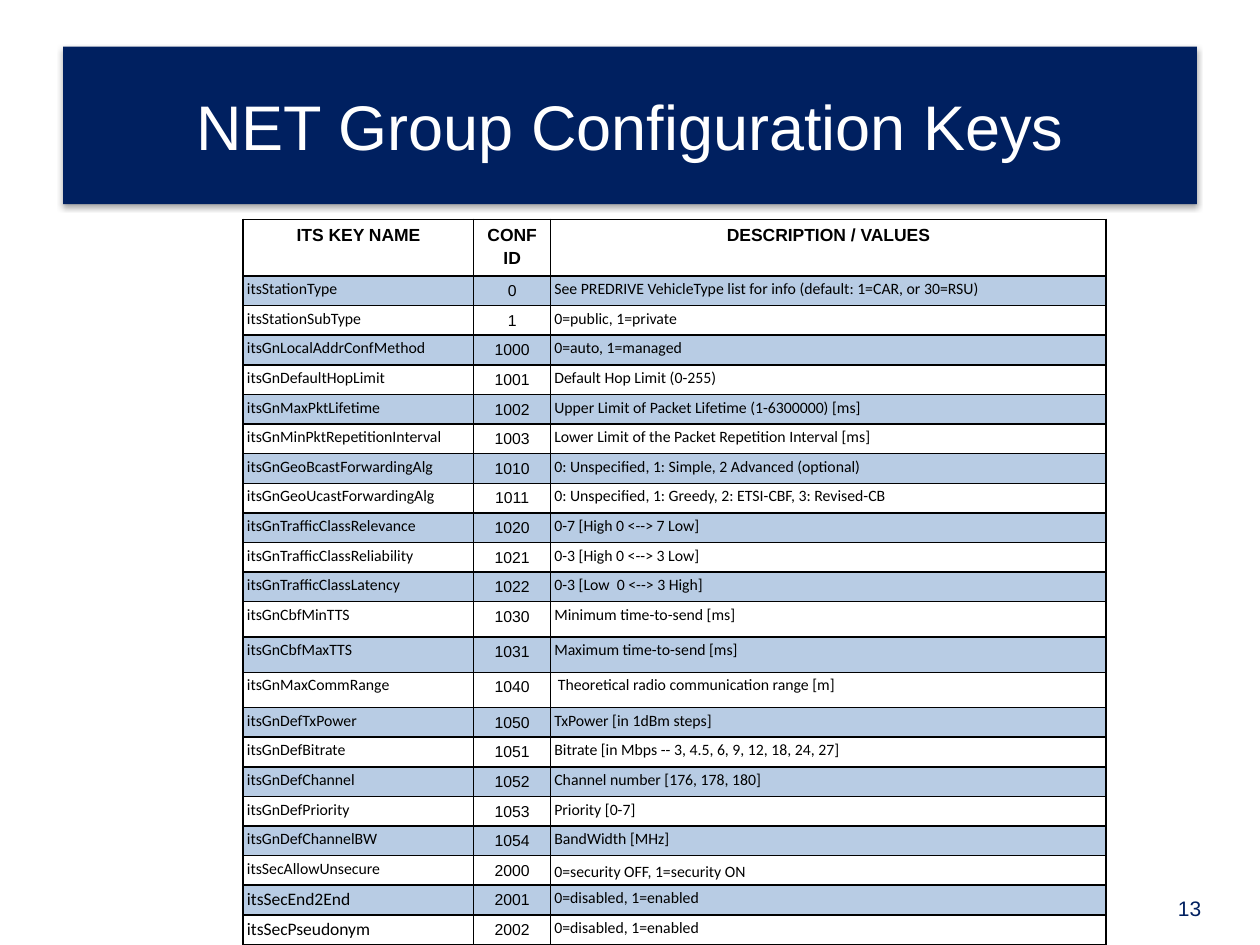
from dataclasses import dataclass

import pptx
import pptx.dml.color
import pptx.enum.text
import pptx.oxml
import pptx.oxml.ns
import pptx.util

Inches = pptx.util.Inches
Pt = pptx.util.Pt
ALIGN = pptx.enum.text.PP_ALIGN
ANCHOR = pptx.enum.text.MSO_ANCHOR
NS = pptx.oxml.ns.nsdecls("a")

HEADINGS = ("ITS KEY NAME", "CONF ID", "DESCRIPTION / VALUES")
KEYS = (
    ("itsStationType", "0", "See PREDRIVE VehicleType list for info (default: 1=CAR, or 30=RSU)"),
    ("itsStationSubType", "1", "0=public, 1=private"),
    ("itsGnLocalAddrConfMethod", "1000", "0=auto, 1=managed"),
    ("itsGnDefaultHopLimit", "1001", "Default Hop Limit (0-255)"),
    ("itsGnMaxPktLifetime", "1002", "Upper Limit of Packet Lifetime (1-6300000) [ms]"),
    ("itsGnMinPktRepetitionInterval", "1003", "Lower Limit of the Packet Repetition Interval [ms]"),
    ("itsGnGeoBcastForwardingAlg", "1010", "0: Unspecified, 1: Simple, 2 Advanced (optional)"),
    ("itsGnGeoUcastForwardingAlg", "1011", "0: Unspecified, 1: Greedy, 2: ETSI-CBF, 3: Revised-CB"),
    ("itsGnTrafficClassRelevance", "1020", "0-7 [High 0 <--> 7 Low]"),
    ("itsGnTrafficClassReliability", "1021", "0-3 [High 0 <--> 3 Low]"),
    ("itsGnTrafficClassLatency", "1022", "0-3 [Low  0 <--> 3 High]"),
    ("itsGnCbfMinTTS", "1030", "Minimum time-to-send [ms]"),
    ("itsGnCbfMaxTTS", "1031", "Maximum time-to-send [ms]"),
    ("itsGnMaxCommRange", "1040", " Theoretical radio communication range [m]"),
    ("itsGnDefTxPower", "1050", "TxPower [in 1dBm steps]"),
    ("itsGnDefBitrate", "1051", "Bitrate [in Mbps -- 3, 4.5, 6, 9, 12, 18, 24, 27]"),
    ("itsGnDefChannel", "1052", "Channel number [176, 178, 180]"),
    ("itsGnDefPriority", "1053", "Priority [0-7]"),
    ("itsGnDefChannelBW", "1054", "BandWidth [MHz]"),
    ("itsSecAllowUnsecure", "2000", "0=security OFF, 1=security ON"),
    ("itsSecEnd2End", "2001", "0=disabled, 1=enabled"),
    ("itsSecPseudonym", "2002", "0=disabled, 1=enabled"),
)
TALL_KEYS = ("itsGnCbfMinTTS", "itsGnCbfMaxTTS", "itsGnMaxCommRange")
LARGE_KEYS = ("itsSecEnd2End", "itsSecPseudonym")
SPACED_TEXT = "0=security OFF, 1=security ON"


@dataclass(frozen=True)
class Theme:
    navy: str = "002060"
    white: str = "FFFFFF"
    black: str = "000000"
    band: str = "B8CCE4"
    heading_font: str = "Arial"
    body_font: str = "Calibri"
    title_size: float = 36
    number_size: float = 12
    large_size: float = 10
    body_size: float = 9
    spacing: float = 1.15


class SlideBuilder:
    """Hold the theme and the current slide, and add its elements."""

    def __init__(self, prs, theme):
        self.theme = theme
        self.s = prs.slides.add_slide(prs.slide_layouts[5])

    def color(self, value):
        return pptx.dml.color.RGBColor.from_string(value)

    def format(self, p, font, size, color, align=ALIGN.LEFT, bold=False):
        p.alignment = align
        p.font.name = font
        p.font.size = Pt(size)
        p.font.bold = bold
        p.font.color.rgb = self.color(color)

    def title(self, text, left, top, width, height):
        t = self.theme
        sp = self.s.shapes.title
        sp.left, sp.top, sp.width, sp.height = map(Inches, (left, top, width, height))
        sp.fill.solid()
        sp.fill.fore_color.rgb = self.color(t.navy)
        sp._element.spPr.append(pptx.oxml.parse_xml(
            f'<a:effectLst {NS}><a:outerShdw blurRad="{Pt(3.1)}" dist="{Pt(1.8)}" '
            f'dir="5400000" rotWithShape="0"><a:srgbClr val="{t.black}">'
            '<a:alpha val="35000"/></a:srgbClr></a:outerShdw></a:effectLst>'))
        tf = sp.text_frame
        tf.text = text
        tf.vertical_anchor = ANCHOR.MIDDLE
        self.format(tf.paragraphs[0], t.heading_font, t.title_size, t.white, ALIGN.CENTER)

    def number(self, text, left, top, width, height):
        t = self.theme
        sp = self.s.shapes.add_textbox(*map(Inches, (left, top, width, height)))
        tf = sp.text_frame
        tf.word_wrap = True
        tf.text = text
        self.format(tf.paragraphs[0], t.heading_font, t.number_size, t.navy)

    def cell(self, cell, text, fill):
        cell.text = text
        cell.margin_left = cell.margin_right = Inches(0.03)
        cell.margin_top = cell.margin_bottom = Inches(0.03)
        cell.vertical_anchor = ANCHOR.TOP
        tcPr = cell._tc.get_or_add_tcPr()
        for side in "LRTB":
            tcPr.append(pptx.oxml.parse_xml(
                f'<a:ln{side} {NS} w="{Pt(1)}"><a:solidFill>'
                f'<a:srgbClr val="{self.theme.black}"/></a:solidFill></a:ln{side}>'))
        if fill:
            cell.fill.solid()
            cell.fill.fore_color.rgb = self.color(fill)
        else:
            cell.fill.background()
        return cell.text_frame.paragraphs[0]

    def table(self, headings, rows, left, top, widths, heights):
        t = self.theme
        frame = self.s.shapes.add_table(
            len(rows) + 1, len(headings), Inches(left), Inches(top),
            Inches(sum(widths)), Inches(sum(heights)))
        table = frame.table
        table.first_row = table.horz_banding = False
        for column, width in zip(table.columns, widths):
            column.width = Inches(width)
        for row, height in zip(table.rows, heights):
            row.height = Inches(height)
        for c, text in enumerate(headings):
            p = self.cell(table.cell(0, c), text, None)
            self.format(p, t.heading_font, t.large_size, t.black, ALIGN.CENTER, True)
            p.line_spacing = t.spacing
        for r, row in enumerate(rows, 1):
            for c, text in enumerate(row):
                p = self.cell(table.cell(r, c), text, t.band if r % 2 else None)
                is_id = c == 1
                self.format(p, t.heading_font if is_id else t.body_font,
                            t.large_size if text in LARGE_KEYS else t.body_size,
                            t.black, ALIGN.CENTER if is_id else ALIGN.LEFT)
                if is_id or text == SPACED_TEXT:
                    p.line_spacing = t.spacing


def main():
    prs = pptx.Presentation()
    prs.slide_width, prs.slide_height = Inches(10), Inches(7.5)
    slide = SlideBuilder(prs, Theme())
    slide.number("13", 9.25, 7.06, 0.55, 0.3)
    slide.title("NET Group Configuration Keys", 0.5, 0.37, 9, 1.25)
    header, tall, total = 0.45, 0.28, 5.76
    regular = (total - header - tall * len(TALL_KEYS)) / (len(KEYS) - len(TALL_KEYS))
    heights = [header] + [tall if key in TALL_KEYS else regular for key, _, _ in KEYS]
    slide.table(HEADINGS, KEYS, 1.93, 1.74, (1.83, 0.61, 4.41), heights)
    prs.save("out.pptx")


if __name__ == "__main__":
    main()
